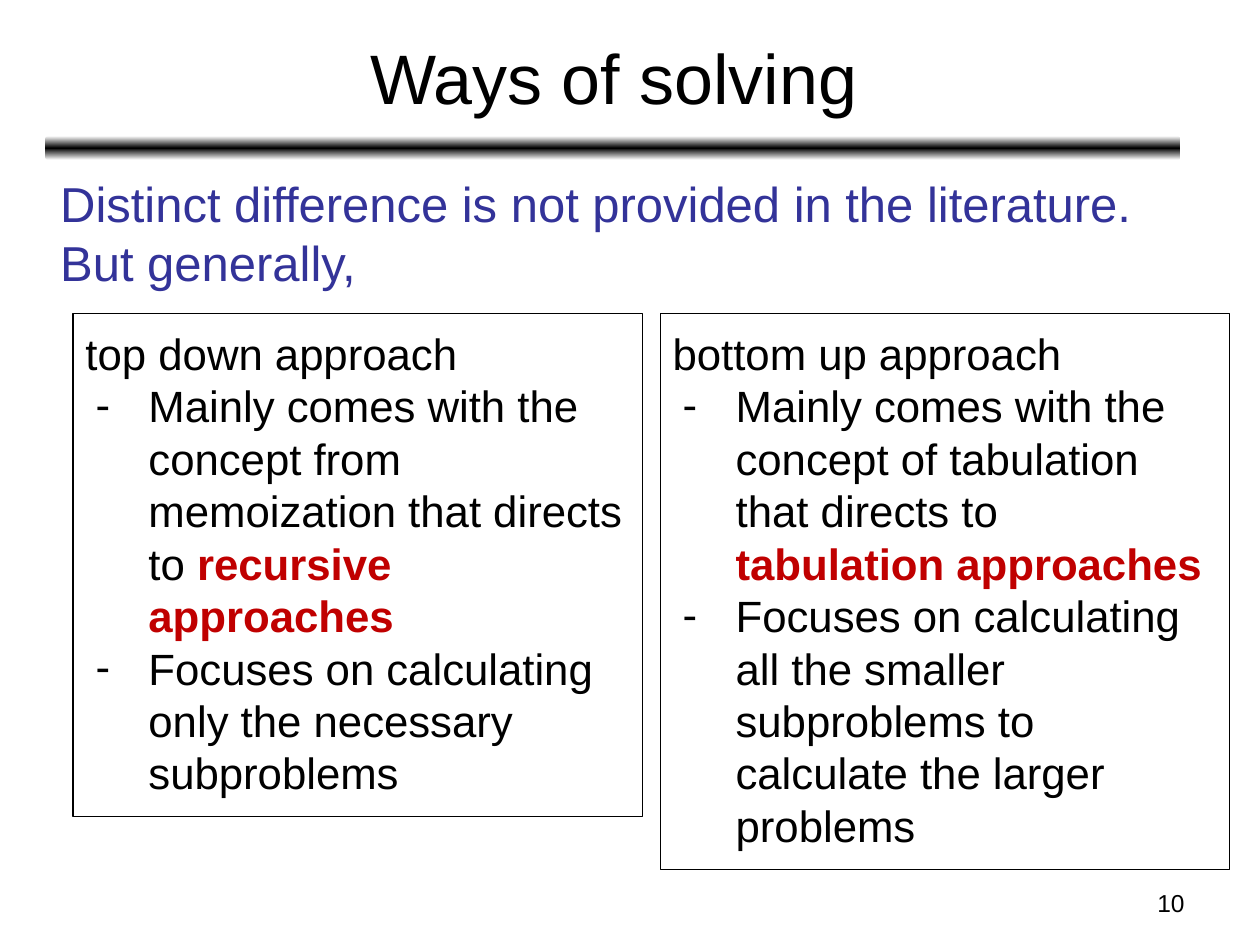
from copy import deepcopy

from lxml.etree import SubElement
from pptx import Presentation
from pptx.dml.color import RGBColor
from pptx.enum.shapes import MSO_SHAPE
from pptx.enum.text import MSO_ANCHOR, PP_ALIGN
from pptx.oxml.ns import qn
from pptx.util import Inches, Pt

COLORS = {"ink": "000000", "paper": "FFFFFF", "intro": "333399", "accent": "C00000"}
FONT = "Arial"


def color(name):
    return RGBColor.from_string(COLORS[name])


def add_run(paragraph, text, size, color_name="ink", bold=False):
    run = paragraph.add_run()
    run.text = text
    run.font.name = FONT
    run.font.size = Pt(size)
    run.font.bold = bold
    run.font.color.rgb = color(color_name)


def add_text(slide, box, text, size, color_name="ink", align=PP_ALIGN.LEFT,
             anchor=MSO_ANCHOR.TOP):
    shape = slide.shapes.add_textbox(*map(Inches, box))
    frame = shape.text_frame
    frame.word_wrap = True
    frame.vertical_anchor = anchor
    paragraph = frame.paragraphs[0]
    paragraph.alignment = align
    add_run(paragraph, text, size, color_name)


def add_divider(slide, box):
    """Bar that fades from black in the middle to white at both edges."""
    shape = slide.shapes.add_shape(MSO_SHAPE.ROUNDED_RECTANGLE, *map(Inches, box))
    shape.shadow.inherit = False
    shape.line.fill.background()
    shape.fill.gradient()
    shape.fill.gradient_angle = 270
    first = shape.fill.gradient_stops[0]
    first.color.rgb = color("paper")
    stop_list = shape._element.spPr.find(qn("a:gradFill")).find(qn("a:gsLst"))
    stop_list.insert(1, deepcopy(stop_list[0]))
    for stop, position, name in zip(shape.fill.gradient_stops, (0, 0.5, 1),
                                    ("paper", "ink", "paper")):
        stop.position = position
        stop.color.rgb = color(name)


def add_dash(paragraph):
    properties = paragraph._p.get_or_add_pPr()
    properties.set("marL", str(Inches(0.5)))
    properties.set("indent", str(Inches(-0.42)))
    bullet_color = SubElement(properties, qn("a:buClr"))
    SubElement(bullet_color, qn("a:srgbClr")).set("val", COLORS["ink"])
    SubElement(properties, qn("a:buFont")).set("typeface", FONT)
    SubElement(properties, qn("a:buChar")).set("char", "-")


def add_approach(slide, box, heading, concept, highlight, focus):
    """Outlined panel: a heading and two dashed points."""
    shape = slide.shapes.add_shape(MSO_SHAPE.RECTANGLE, *map(Inches, box))
    shape.shadow.inherit = False
    shape.fill.background()
    shape.line.color.rgb = color("ink")
    shape.line.width = Pt(0.75)
    frame = shape.text_frame
    frame.word_wrap = True
    frame.vertical_anchor = MSO_ANCHOR.TOP
    frame.margin_left = frame.margin_right = Inches(0.1)
    frame.margin_top = frame.margin_bottom = Inches(0.1)
    rows = [[(heading,)],
            [(concept,), (highlight, "accent", True)],
            [(focus,)]]
    for index, row in enumerate(rows):
        paragraph = frame.add_paragraph() if index else frame.paragraphs[0]
        paragraph.alignment = PP_ALIGN.LEFT
        if index:
            add_dash(paragraph)
        for text, *style in row:
            add_run(paragraph, text, 25, *style)


def main():
    presentation = Presentation()
    presentation.slide_width = Inches(10)
    presentation.slide_height = Inches(7.5)
    slide = presentation.slides.add_slide(presentation.slide_layouts[6])

    # Header
    add_divider(slide, (0.36, 1.08, 9.01, 0.19))
    add_text(slide, (0.37, 0.11, 9, 0.99), "Ways of solving", 40,
             align=PP_ALIGN.CENTER, anchor=MSO_ANCHOR.MIDDLE)

    # Introduction
    add_text(slide, (0.38, 1.33, 9, 5.55),
             "Distinct difference is not provided in the literature. But generally,",
             28, "intro")

    # Page number
    add_text(slide, (7.17, 7, 2.33, 0.35), "10", 14, align=PP_ALIGN.RIGHT)

    # The two approaches side by side
    approaches = [
        (3.99, "top down approach",
         "Mainly comes with the concept from memoization that directs to ",
         "recursive approaches",
         "Focuses on calculating only the necessary subproblems"),
        (4.41, "bottom up approach",
         "Mainly comes with the concept of tabulation that directs to ",
         "tabulation approaches",
         "Focuses on calculating all the smaller subproblems to calculate "
         "the larger problems"),
    ]
    width, gap = 4.52, 0.14
    for index, (height, *texts) in enumerate(approaches):
        left = 0.58 + index * (width + gap)
        add_approach(slide, (left, 2.49, width, height), *texts)

    presentation.save("out.pptx")


if __name__ == "__main__":
    main()
